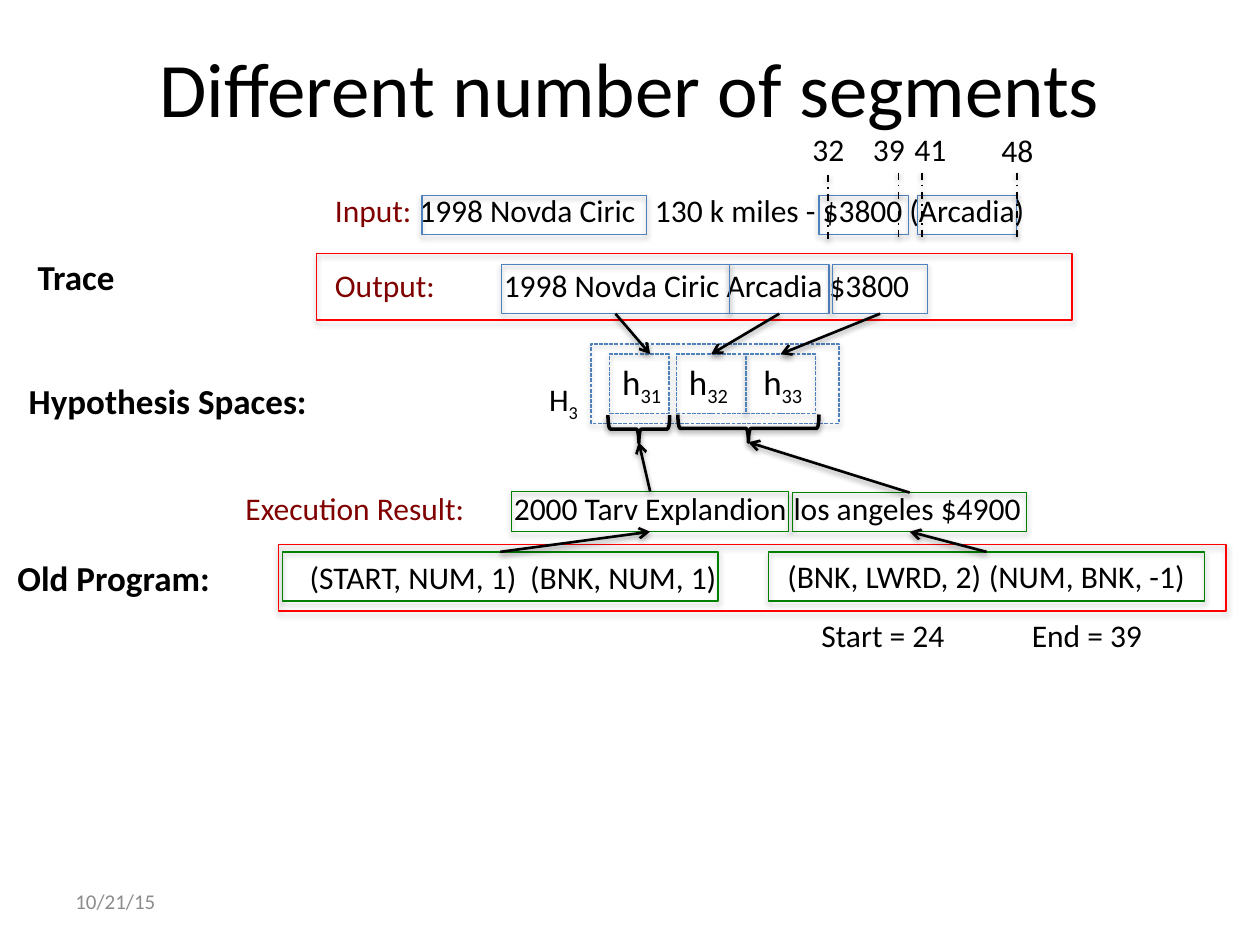
"""Build the slide that compares traces with a different number of segments."""
import pptx
import pptx.dml.color
import pptx.enum.dml
import pptx.enum.shapes
import pptx.enum.text
import pptx.oxml
import pptx.oxml.ns
import pptx.util
from pptx.util import Inches

BLACK, MAROON, BLUE, GREEN, RED, GRAY = "000000", "800000", "4F81BD", "008000", "FF0000", "8C8C8C"
DASH = pptx.enum.dml.MSO_LINE
SHAPE = pptx.enum.shapes.MSO_SHAPE
MIDDLE = pptx.enum.text.MSO_ANCHOR.MIDDLE


def color(value):
    """Turn a hex string into a colour."""
    return pptx.dml.color.RGBColor.from_string(value)


def style_outline(item, line_color, width, dash=None, opacity=35000, distance=23000):
    """Set the line of a shape or connector and give it a soft shadow below."""
    item.line.color.rgb = color(line_color)
    item.line.width = pptx.util.Pt(width)
    if dash is not None:
        item.line.dash_style = dash
    item._element.spPr.append(pptx.oxml.parse_xml(
        f'<a:effectLst {pptx.oxml.ns.nsdecls("a")}>'
        f'<a:outerShdw blurRad="40000" dist="{distance}" dir="5400000" rotWithShape="0">'
        f'<a:srgbClr val="000000"><a:alpha val="{opacity}"/></a:srgbClr>'
        '</a:outerShdw></a:effectLst>'))


presentation = pptx.Presentation()
presentation.slide_width, presentation.slide_height = Inches(10), Inches(7.5)
slide = presentation.slides.add_slide(presentation.slide_layouts[5])

title = slide.shapes.title
title.left, title.top, title.width, title.height = Inches(0.5), Inches(0.06), Inches(9), Inches(1.25)
title.text_frame.text = "Different number of segments"
title.text_frame.vertical_anchor = MIDDLE
title_paragraph = title.text_frame.paragraphs[0]
title_paragraph.alignment = pptx.enum.text.PP_ALIGN.CENTER
title_paragraph.font.name = "Calibri"
title_paragraph.font.size = pptx.util.Pt(44)
title_paragraph.font.color.rgb = color(BLACK)

labels = [
    ("32", "", 6.35, 0.98, 0.46, 18, BLACK),
    ("39", "", 6.83, 0.98, 0.46, 18, BLACK),
    ("41", "", 7.16, 0.98, 0.46, 18, BLACK),
    ("48", "", 7.85, 0.99, 0.46, 18, BLACK),
    ("Input:", "", 2.56, 1.47, 0.82, 18, MAROON),
    ("1998 Novda Ciric", "", 3.23, 1.47, 2.1, 18, BLACK),
    ("130 k miles - $3800 (Arcadia)", "", 5.1, 1.47, 3.2, 18, BLACK),
    ("Trace", "", 0.2, 1.98, 0.84, 20, BLACK),
    ("Output:", "", 2.56, 2.06, 1, 18, MAROON),
    ("1998 Novda Ciric Arcadia $3800", "", 3.9, 2.06, 3.7, 18, BLACK),
    ("Hypothesis Spaces:", "", 0.13, 2.96, 2.43, 20, BLACK),
    ("H", "3", 4.26, 2.97, 0.44, 18, BLACK),
    ("h", "31", 4.84, 2.81, 0.63, 20, BLACK),
    ("h", "32", 5.37, 2.81, 0.63, 20, BLACK),
    ("h", "33", 5.96, 2.81, 0.54, 20, BLACK),
    ("Execution Result:", "", 1.85, 3.83, 1.97, 18, MAROON),
    ("2000 Tarv Explandion los angeles $4900", "", 3.98, 3.83, 4.33, 18, BLACK),
    ("Old Program:", "", 0.04, 4.37, 1.75, 20, BLACK),
    ("(START, NUM, 1)", "", 2.36, 4.38, 2.24, 18, BLACK),
    ("(BNK, NUM, 1)", "", 4.11, 4.38, 1.76, 18, BLACK),
    ("(BNK, LWRD, 2)", "", 6.15, 4.37, 2.08, 18, BLACK),
    ("(NUM, BNK, -1)", "", 7.75, 4.37, 1.81, 18, BLACK),
    ("Start = 24", "", 6.42, 4.84, 1.19, 18, BLACK),
    ("End = 39", "", 8.09, 4.84, 1.79, 18, BLACK),
    ("10/21/15", "", 0.5, 6.95, 2.33, 12, GRAY),
]
row_headings = ("Trace", "Hypothesis Spaces:", "Old Program:")
for text, subscript, left, top, width, size, text_color in labels:
    height = 0.44 if size == 20 else 0.4
    box = slide.shapes.add_textbox(Inches(left), Inches(top), Inches(width), Inches(height))
    box.text_frame.word_wrap = True
    if size == 12:
        box.text_frame.vertical_anchor = MIDDLE
    paragraph = box.text_frame.paragraphs[0]
    paragraph.add_run().text = text
    if subscript:
        subscript_run = paragraph.add_run()
        subscript_run.text = subscript
        subscript_run.font._element.set("baseline", "-25000")
    paragraph.font.name = "Calibri"
    paragraph.font.size = pptx.util.Pt(size)
    paragraph.font.bold = text in row_headings
    paragraph.font.color.rgb = color(text_color)

rectangles = [
    ("input car", 3.35, 1.55, 1.78, 0.31, BLUE, None),
    ("input price", 6.5, 1.55, 0.71, 0.31, BLUE, None),
    ("input city", 7.28, 1.55, 0.79, 0.31, BLUE, None),
    ("output car", 3.98, 2.1, 1.81, 0.39, BLUE, None),
    ("output city", 5.79, 2.1, 0.79, 0.39, BLUE, None),
    ("output price", 6.61, 2.1, 0.75, 0.39, BLUE, None),
    ("output row", 2.51, 2.01, 6, 0.53, RED, None),
    ("H3", 4.69, 2.73, 1.97, 0.63, BLUE, DASH.SQUARE_DOT),
    ("h31", 4.84, 2.81, 0.47, 0.47, BLUE, DASH.SQUARE_DOT),
    ("h32", 5.37, 2.81, 0.55, 0.47, BLUE, DASH.SQUARE_DOT),
    ("h33", 5.92, 2.81, 0.55, 0.47, BLUE, DASH.SQUARE_DOT),
    ("result car", 4.06, 3.9, 2.2, 0.32, GREEN, None),
    ("result rest", 6.29, 3.91, 1.86, 0.31, GREEN, None),
    ("program row", 2.21, 4.32, 7.52, 0.53, RED, None),
    ("program car", 2.24, 4.38, 3.46, 0.39, GREEN, None),
    ("program rest", 6.1, 4.38, 3.46, 0.39, GREEN, None),
]
boxes = {}
for name, left, top, width, height, line_color, dash in rectangles:
    boxes[name] = slide.shapes.add_shape(
        SHAPE.RECTANGLE, Inches(left), Inches(top), Inches(width), Inches(height))
    boxes[name].fill.background()
    style_outline(boxes[name], line_color, 0.75, dash)

for left, top, height in ((4.96, 3.16, 0.49), (5.83, 2.84, 1.12)):
    brace = slide.shapes.add_shape(
        SHAPE.LEFT_BRACE, Inches(left), Inches(top), Inches(0.22), Inches(height))
    brace.rotation = 270
    brace.fill.background()
    style_outline(brace, BLACK, 2, opacity=38000, distance=20000)

for x, top in ((6.57, 1.39), (7.13, 1.37), (7.32, 1.37), (8.07, 1.37)):
    marker = slide.shapes.add_connector(
        pptx.enum.shapes.MSO_CONNECTOR.STRAIGHT,
        Inches(x), Inches(top), Inches(x), Inches(top + 0.53))
    style_outline(marker, BLACK, 1, DASH.DASH_DOT, 38000, 20000)

arrows = [
    ("output car", 2, None, 4.88, 2.49, 5.16, 2.81),
    ("output city", 2, "h32", 6.18, 2.49, 5.64, 2.81),
    ("output price", 2, "h33", 6.99, 2.49, 6.19, 2.81),
    ("result car", 0, None, 5.16, 3.9, 5.07, 3.51),
    ("result rest", 0, None, 7.22, 3.91, 5.94, 3.51),
    ("program car", 0, "result car", 3.98, 4.38, 5.16, 4.22),
    ("program rest", 0, "result rest", 7.83, 4.38, 7.22, 4.22),
]
for source, side, target, begin_x, begin_y, end_x, end_y in arrows:
    arrow = slide.shapes.add_connector(
        pptx.enum.shapes.MSO_CONNECTOR.STRAIGHT,
        Inches(begin_x), Inches(begin_y), Inches(end_x), Inches(end_y))
    arrow.begin_connect(boxes[source], side)
    if target:
        arrow.end_connect(boxes[target], 2 - side)
    style_outline(arrow, BLACK, 1.5, opacity=38000, distance=20000)
    arrow.line._get_or_add_ln().append(
        pptx.oxml.parse_xml(f'<a:tailEnd {pptx.oxml.ns.nsdecls("a")} type="arrow"/>'))

presentation.save("out.pptx")
